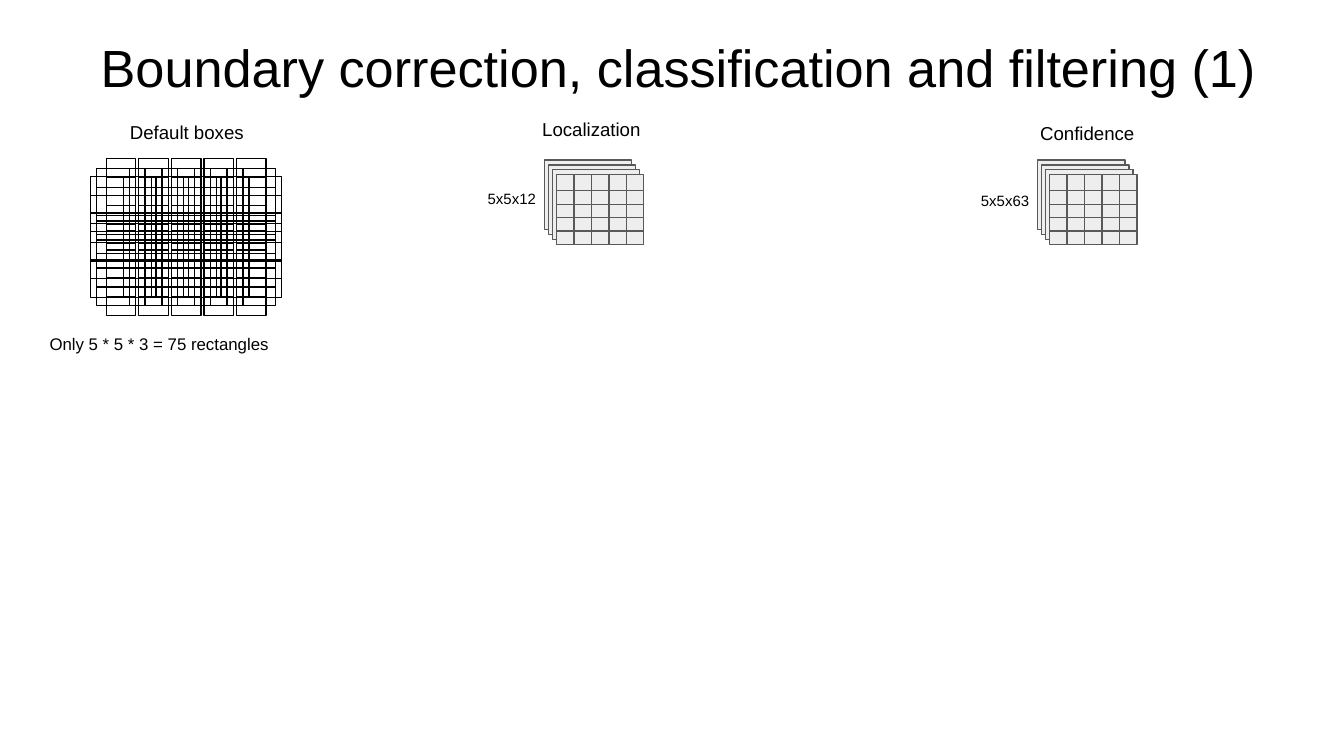
from lxml import etree
from pptx import Presentation
from pptx import util as u
from pptx.dml.color import RGBColor
from pptx.enum import shapes, text
from pptx.oxml.ns import qn

THEME = {
    "font": "Arial",
    "ink": RGBColor.from_string("000000"),
    "map_fill": RGBColor.from_string("EEEEEE"),
    "map_line": RGBColor.from_string("595959"),
    "line": u.Pt(0.75),
    "inset": u.Inches(0.1),
    "title": 28, "heading": 10, "note": 9, "size": 8,
}
SLIDE_WIDTH = u.Inches(10)
SLIDE_HEIGHT = SLIDE_WIDTH * 9 // 16
CENTER, LEFT = text.PP_ALIGN.CENTER, text.PP_ALIGN.LEFT
TOP, MIDDLE = text.MSO_ANCHOR.TOP, text.MSO_ANCHOR.MIDDLE

# Content: wording, box (left, top, width, height), type size, alignment, anchor
LABELS = [
    ("Boundary correction, classification and filtering (1)",
     (0.16, 0.16, 9.77, 0.63), "title", CENTER, TOP),
    ("Default boxes", (0.76, 0.82, 1.26, 0.32), "heading", CENTER, MIDDLE),
    ("Localization", (3.92, 0.8, 0.96, 0.32), "heading", CENTER, MIDDLE),
    ("Confidence", (7.61, 0.83, 0.96, 0.32), "heading", CENTER, MIDDLE),
    ("5x5x12", (3.53, 1.34, 0.58, 0.31), "size", LEFT, TOP),
    ("5x5x63", (7.2, 1.36, 0.58, 0.31), "size", LEFT, TOP),
    ("Only 5 * 5 * 3 = 75 rectangles", (0.27, 2.36, 2.18, 0.39), "note", LEFT, MIDDLE),
]

# Default boxes: three proportions (width, height, rotation) around each cell centre
PROPORTIONS = [(0.36, 0.39, 0), (0.22, 0.54, 0), (0.27, 0.45, 90)]
FIRST_CENTER, LAST_CENTER, CELLS = 0.9, 1.87, 5
ROW_CENTERS = [1.45, 1.59, 1.8, 1.94, 2.08]

# Feature maps: left edge of each stack's front sheet
MAP_LEFTS = [4.14, 7.81]
MAP_TOP, MAP_WIDTH, MAP_HEIGHT = 1.3, 0.65, 0.52
SHEETS, DEPTH_X, DEPTH_Y = 4, 0.09, 0.11
COLUMN_STEP, FIRST_ROW, ROW_STEP = 0.13, 0.12, 0.1


def add_label(slide, wording, box, size, align, anchor):
    label = slide.shapes.add_textbox(*map(u.Inches, box))
    frame = label.text_frame
    frame.word_wrap = True
    frame.vertical_anchor = anchor
    frame.margin_left = frame.margin_right = THEME["inset"]
    frame.margin_top = frame.margin_bottom = THEME["inset"]
    paragraph = frame.paragraphs[0]
    paragraph.alignment = align
    run = paragraph.add_run()
    run.text = wording
    run.font.name = THEME["font"]
    run.font.size = u.Pt(THEME[size])
    run.font.color.rgb = THEME["ink"]


def add_rectangle(group, left, top, width, height, line, fill=None):
    rectangle = group.shapes.add_shape(
        shapes.MSO_SHAPE.RECTANGLE, *map(u.Inches, (left, top, width, height)))
    rectangle.shadow.inherit = False
    if fill is None:
        rectangle.fill.background()
    else:
        rectangle.fill.solid()
        rectangle.fill.fore_color.rgb = fill
    rectangle.line.color.rgb = line
    rectangle.line.width = THEME["line"]
    return rectangle


def add_grid_line(group, x1, y1, x2, y2):
    grid_line = group.shapes.add_connector(
        shapes.MSO_CONNECTOR.STRAIGHT, *map(u.Inches, (x1, y1, x2, y2)))
    grid_line.line.color.rgb = THEME["map_line"]
    grid_line.line.width = THEME["line"]
    etree.SubElement(grid_line._element.spPr, qn("a:effectLst"))


def add_default_boxes(slide):
    group = slide.shapes.add_group_shape()
    pitch = (LAST_CENTER - FIRST_CENTER) / (CELLS - 1)
    for center_y in ROW_CENTERS:
        for column in reversed(range(CELLS)):
            center_x = FIRST_CENTER + column * pitch
            for width, height, rotation in PROPORTIONS:
                default_box = add_rectangle(
                    group, center_x - width / 2, center_y - height / 2,
                    width, height, THEME["ink"])
                default_box.rotation = rotation


def add_feature_map(slide, left):
    group = slide.shapes.add_group_shape()
    # Sheets from back to front
    for sheet in range(SHEETS):
        behind = 1 - sheet / (SHEETS - 1)
        add_rectangle(group, left - DEPTH_X * behind, MAP_TOP - DEPTH_Y * behind,
                      MAP_WIDTH, MAP_HEIGHT, THEME["map_line"], THEME["map_fill"])
    # Grid on the front sheet
    for step in range(CELLS - 1):
        x = left + COLUMN_STEP * (step + 1)
        add_grid_line(group, x, MAP_TOP, x, MAP_TOP + MAP_HEIGHT)
    for step in range(CELLS - 1):
        y = MAP_TOP + FIRST_ROW + ROW_STEP * step
        add_grid_line(group, left, y, left + MAP_WIDTH, y)


def main():
    deck = Presentation()
    deck.slide_width, deck.slide_height = SLIDE_WIDTH, SLIDE_HEIGHT
    slide = deck.slides.add_slide(deck.slide_layouts[6])
    add_default_boxes(slide)
    for left in MAP_LEFTS:
        add_feature_map(slide, left)
    for label in LABELS:
        add_label(slide, *label)
    deck.save("out.pptx")


if __name__ == "__main__":
    main()
